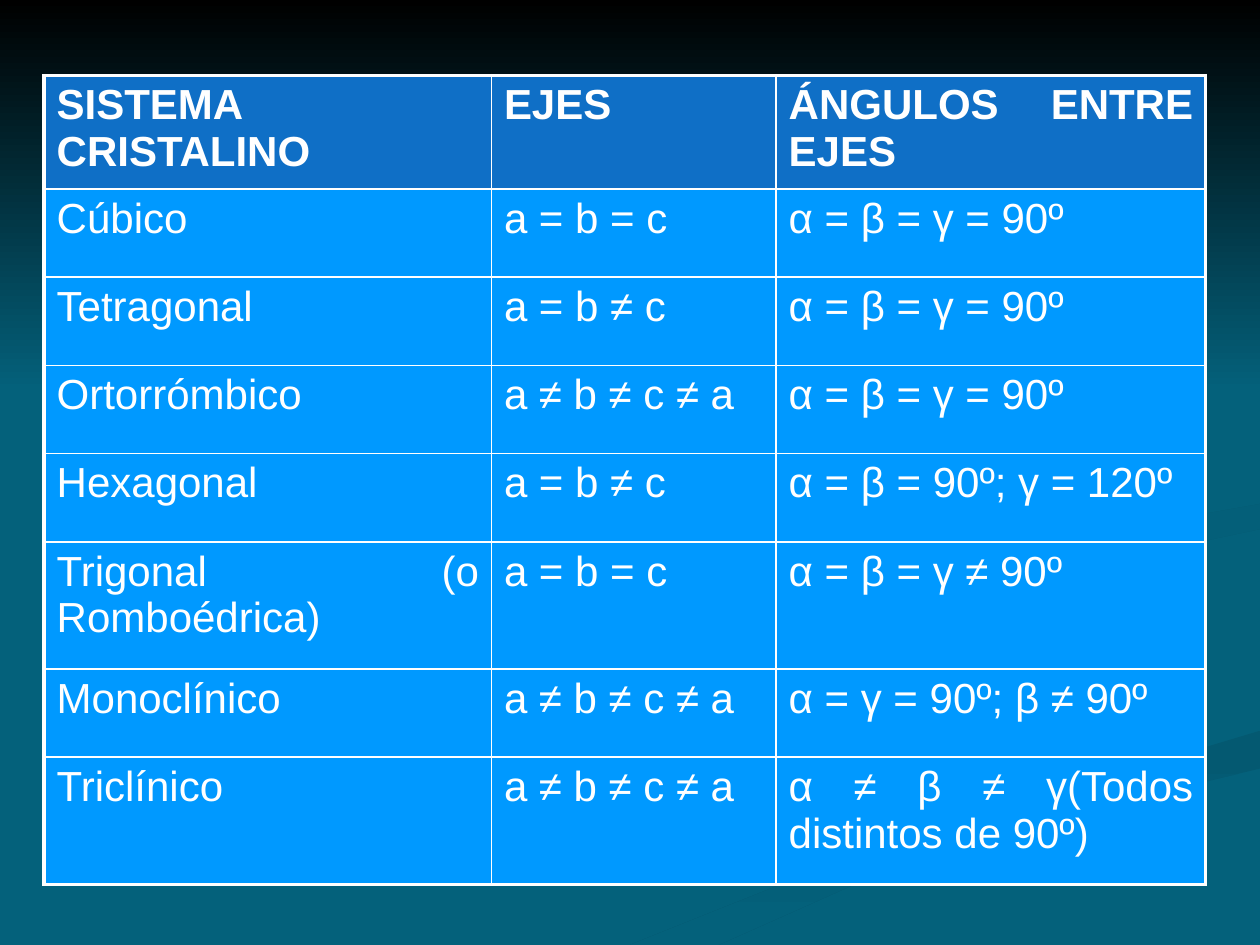
import pptx
import pptx.dml.color
import pptx.enum.text
import pptx.oxml
import pptx.oxml.ns
import pptx.util

WHITE, HEADER, BODY, TEAL = "FFFFFF", "0F6FC6", "0099FF", "04617B"
THIN, THICK = 1, 2.25


def color(value):
    return pptx.dml.color.RGBColor.from_string(value)


def add_border(cell, side, width, position):
    """Put a solid white line on one side (L, R, T or B) of a table cell."""
    line = pptx.oxml.parse_xml(
        f'<a:ln{side} {pptx.oxml.ns.nsdecls("a")} w="{int(pptx.util.Pt(width))}">'
        f'<a:solidFill><a:srgbClr val="{WHITE}"/></a:solidFill></a:ln{side}>')
    cell._tc.get_or_add_tcPr().insert(position, line)


deck = pptx.Presentation()
deck.slide_width = pptx.util.Inches(10)
deck.slide_height = pptx.util.Inches(7.5)
page = deck.slides.add_slide(deck.slide_layouts[6])
page.background.fill.solid()
page.background.fill.fore_color.rgb = color(TEAL)

# Background ribbons: start colour, end colour, angle, outline.
# The outlines use a grid of 100 columns by 75 rows.
UNIT = deck.slide_width // 100
ribbons = [
    (TEAL, "045D76", 0,
     [(30, 75), (46, 67), (78, 58), (58, 46), (80, 58), (50, 69), (36, 75)]),
    ("045971", TEAL, 270,
     [(50, 75), (57, 75), (75, 67), (100, 61), (100, 58), (70, 67)]),
    ("045C74", TEAL, 315,
     [(78, 46), (83, 50), (81, 46), (100, 42), (100, 40), (83, 43)]),
    ("000000", TEAL, 270, [(0, 0), (0, 31), (100, 31), (100, 0)]),
]
for start, end, angle, outline in ribbons:
    builder = page.shapes.build_freeform(*outline[0], scale=UNIT)
    builder.add_line_segments(outline[1:], close=True)
    ribbon = builder.convert_to_shape()
    ribbon.shadow.inherit = False
    ribbon.line.fill.background()
    ribbon.fill.gradient()
    ribbon.fill.gradient_angle = angle
    for stop, value, place in zip(ribbon.fill.gradient_stops, (start, end), (0, 1)):
        stop.color.rgb = color(value)
        stop.position = place

crystal_systems = [
    ("SISTEMA CRISTALINO ", "EJES ", "ÁNGULOS ENTRE EJES "),
    ("Cúbico", "a = b = c", "α = β = γ = 90º"),
    ("Tetragonal", "a = b ≠ c", "α = β = γ = 90º"),
    ("Ortorrómbico ", "a ≠ b ≠ c ≠ a", "α = β = γ = 90º"),
    ("Hexagonal", "a = b ≠ c", "α = β = 90º; γ = 120º"),
    ("Trigonal (o Romboédrica)", "a = b = c", "α = β = γ ≠ 90º"),
    ("Monoclínico", "a ≠ b ≠ c ≠ a", "α = γ = 90º; β ≠ 90º"),
    ("Triclínico", "a ≠ b ≠ c ≠ a", "α ≠ β ≠ γ(Todos distintos de 90º)"),
]
column_widths = [3.55, 2.26, 3.41]
SINGLE, DOUBLE = 0.7, 1.01
row_heights = [0.9] + [SINGLE] * 4 + [DOUBLE, SINGLE, DOUBLE]
last_row, last_column = len(row_heights) - 1, len(column_widths) - 1

table = page.shapes.add_table(
    len(row_heights), len(column_widths),
    pptx.util.Inches(0.35), pptx.util.Inches(0.6),
    pptx.util.Inches(sum(column_widths)), pptx.util.Inches(sum(row_heights))).table
table.horz_banding = False
for column, width in zip(table.columns, column_widths):
    column.width = pptx.util.Inches(width)
for row, height in zip(table.rows, row_heights):
    row.height = pptx.util.Inches(height)

for r, texts in enumerate(crystal_systems):
    for c, text in enumerate(texts):
        cell = table.cell(r, c)
        cell.fill.solid()
        cell.fill.fore_color.rgb = color(BODY if r else HEADER)
        outer_sides = {"L": c == 0, "R": c == last_column, "T": r == 0, "B": r == last_row}
        for position, (side, outer) in enumerate(outer_sides.items()):
            add_border(cell, side, THICK if outer else THIN, position)
        para = cell.text_frame.paragraphs[0]
        para.alignment = pptx.enum.text.PP_ALIGN.JUSTIFY
        span = para.add_run()
        span.text = text
        span.font.name = "Arial"
        span.font.size = pptx.util.Pt(24)
        span.font.bold = r == 0
        span.font.color.rgb = color(WHITE)

deck.save("out.pptx")
